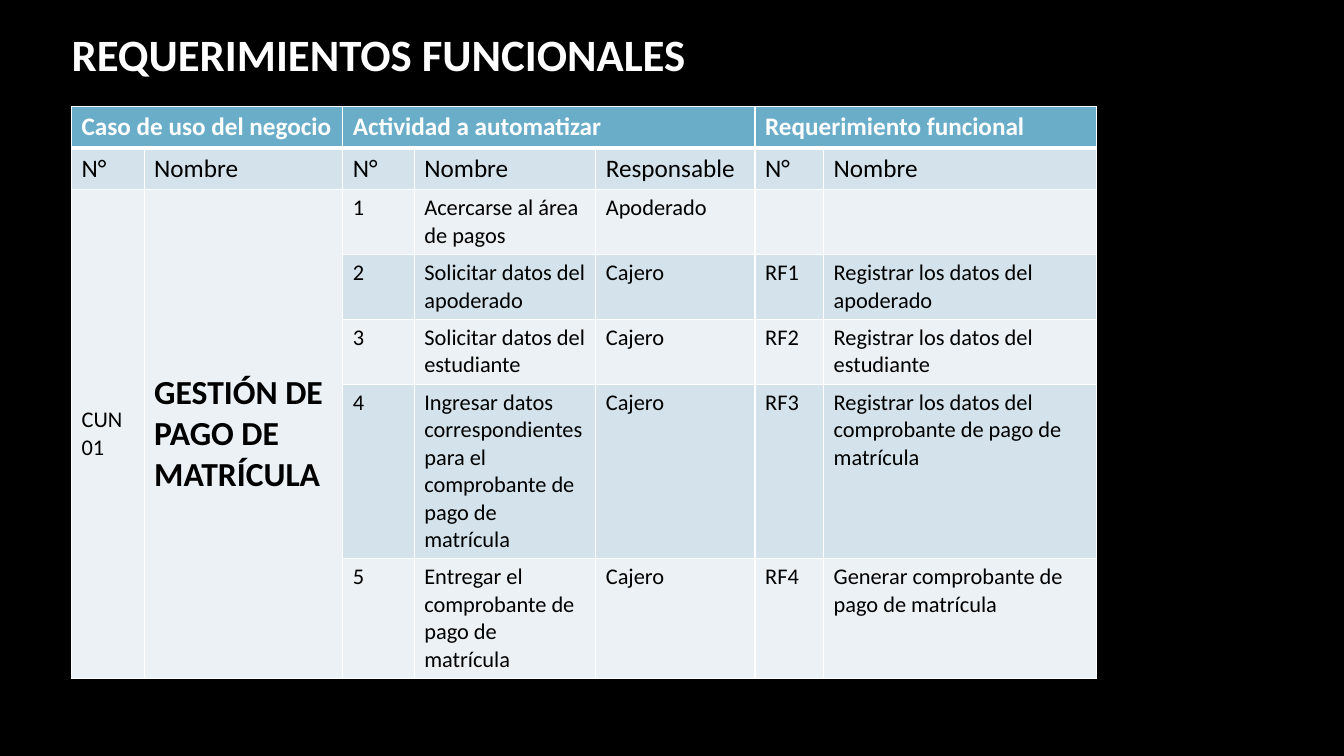
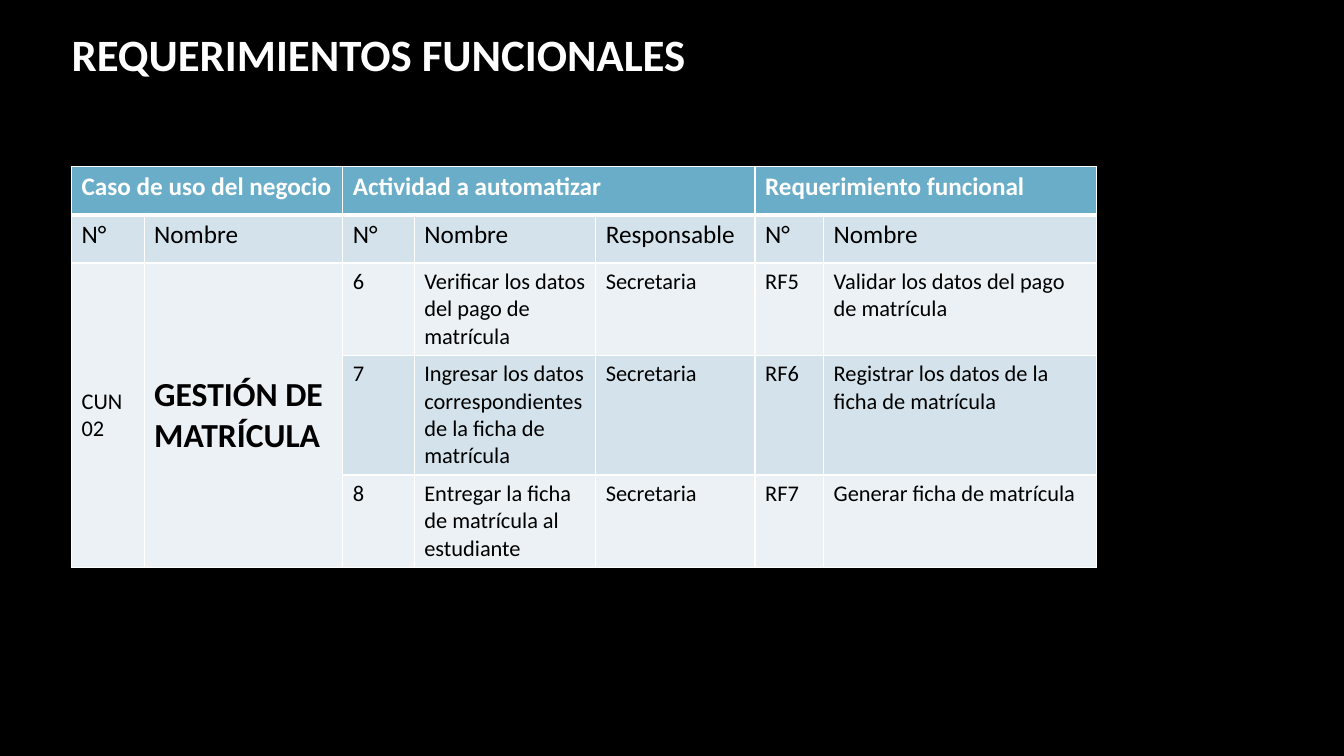
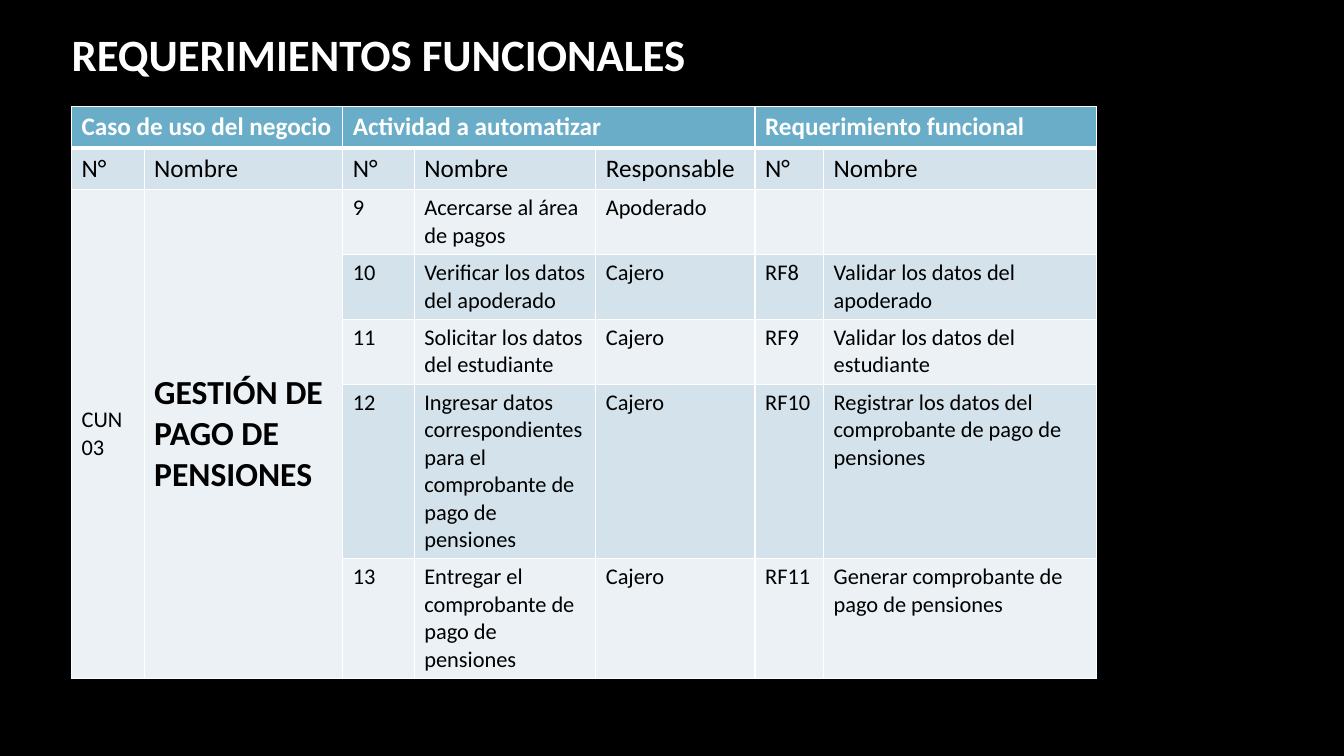
from dataclasses import dataclass

from pptx import Presentation
from pptx.dml.color import RGBColor
from pptx.enum.text import MSO_ANCHOR, PP_ALIGN
from pptx.oxml import parse_xml
from pptx.oxml.ns import nsdecls
from pptx.util import Inches, Pt


@dataclass(frozen=True)
class Theme:
    font: str = "Calibri"
    background: str = "000000"
    light: str = "FFFFFF"
    dark: str = "000000"
    header: str = "6AADC8"
    bands: tuple = ("D4E3EB", "EBF1F5")
    title_size: int = 32
    process_size: int = 24
    header_size: int = 18
    body_size: int = 16
    border: int = 1
    header_border: int = 3


@dataclass(frozen=True)
class UseCase:
    code: str
    name: str
    top: float
    header_height: float
    line_counts: tuple  # text lines that each activity row needs
    activities: tuple


THEME = Theme()
TITLE = "REQUERIMIENTOS FUNCIONALES"
TABLE_LEFT = 0.71
COLUMN_WIDTHS = (0.72, 1.97, 0.71, 1.8, 1.58, 0.68, 2.71)
LINE_HEIGHT = 0.27
ROW_PADDING = 0.1
GROUPS = (
    ("Caso de uso del negocio", 0, 1),
    ("Actividad a automatizar", 2, 4),
    ("Requerimiento funcional", 5, 6),
)
COLUMN_NAMES = ("N°", "Nombre", "N°", "Nombre", "Responsable", "N°", "Nombre")

USE_CASES = (
    UseCase("01", "GESTIÓN DE PAGO DE MATRÍCULA", 1.06, 0.41, (2, 2, 2, 6, 4), (
        ("1", "Acercarse al área de pagos", "Apoderado", "", ""),
        ("2", "Solicitar datos del apoderado", "Cajero",
         "RF1", "Registrar los datos del apoderado"),
        ("3", "Solicitar datos del estudiante", "Cajero",
         "RF2", "Registrar los datos del estudiante"),
        ("4", "Ingresar datos correspondientes para el comprobante de pago de matrícula",
         "Cajero", "RF3", "Registrar los datos del comprobante de pago de matrícula"),
        ("5", "Entregar el comprobante de pago de matrícula", "Cajero",
         "RF4", "Generar comprobante de pago de matrícula"),
    )),
    UseCase("02", "GESTIÓN DE MATRÍCULA", 1.65, 0.48, (3, 4, 3), (
        ("6", "Verificar los datos del pago de matrícula", "Secretaria",
         "RF5", "Validar los datos del pago de matrícula"),
        ("7", "Ingresar los datos correspondientes de la ficha de matrícula", "Secretaria",
         "RF6", "Registrar los datos de la ficha de matrícula"),
        ("8", "Entregar la ficha de matrícula al estudiante", "Secretaria",
         "RF7", "Generar ficha de matrícula"),
    )),
    UseCase("03", "GESTIÓN DE PAGO DE PENSIONES", 1.06, 0.41, (2, 2, 2, 6, 4), (
        ("9", "Acercarse al área de pagos", "Apoderado", "", ""),
        ("10", "Verificar los datos del apoderado", "Cajero",
         "RF8", "Validar los datos del apoderado"),
        ("11", "Solicitar los datos del estudiante", "Cajero",
         "RF9", "Validar los datos del estudiante"),
        ("12", "Ingresar datos correspondientes para el comprobante de pago de pensiones",
         "Cajero", "RF10", "Registrar los datos del comprobante de pago de pensiones"),
        ("13", "Entregar el comprobante de pago de pensiones", "Cajero",
         "RF11", "Generar comprobante de pago de pensiones"),
    )),
)


def add_run(para, text, size, color, bold=False):
    span = para.add_run()
    span.text = text
    span.font.name = THEME.font
    span.font.size = Pt(size)
    span.font.bold = bold
    span.font.color.rgb = RGBColor.from_string(color)


def set_title(page):
    box = page.shapes.title
    box.left, box.top = Inches(0.61), Inches(0.18)
    box.width, box.height = Inches(7.33), Inches(0.71)
    box.text_frame.vertical_anchor = MSO_ANCHOR.MIDDLE
    para = box.text_frame.paragraphs[0]
    para.alignment = PP_ALIGN.LEFT
    add_run(para, TITLE, THEME.title_size, THEME.light, bold=True)


def style_cell(cell, row_index):
    """Set borders and band fill; the borders must precede the fill in the XML."""
    properties = cell._tc.get_or_add_tcPr()
    widths = {side: THEME.border for side in "LRTB"}
    if row_index == 0:
        widths["B"] = THEME.header_border
    elif row_index == 1:
        widths["T"] = THEME.header_border
    for side, width in widths.items():
        properties.append(parse_xml(
            f'<a:ln{side} {nsdecls("a")} w="{Pt(width)}"><a:solidFill>'
            f'<a:srgbClr val="{THEME.light}"/></a:solidFill></a:ln{side}>'))
    color = THEME.header if row_index == 0 else THEME.bands[(row_index - 1) % 2]
    cell.fill.solid()
    cell.fill.fore_color.rgb = RGBColor.from_string(color)


def write_cell(cell, lines, size, color=THEME.dark, bold=False, anchor=MSO_ANCHOR.TOP):
    cell.vertical_anchor = anchor
    frame = cell.text_frame
    for index, line in enumerate(lines):
        para = frame.add_paragraph() if index else frame.paragraphs[0]
        if line:
            add_run(para, line, size, color, bold)


def add_requirements_table(page, case):
    heights = [case.header_height] * 2
    heights += [ROW_PADDING + LINE_HEIGHT * count for count in case.line_counts]
    table = page.shapes.add_table(
        len(heights), len(COLUMN_WIDTHS), Inches(TABLE_LEFT), Inches(case.top),
        Inches(sum(COLUMN_WIDTHS)), Inches(sum(heights))).table
    table.first_row = table.horz_banding = False
    for column, width in zip(table.columns, COLUMN_WIDTHS):
        column.width = Inches(width)
    for row_index, (row, height) in enumerate(zip(table.rows, heights)):
        row.height = Inches(height)
        for cell in row.cells:
            style_cell(cell, row_index)

    for text, first, last in GROUPS:
        table.cell(0, first).merge(table.cell(0, last))
        write_cell(table.cell(0, first), [text], THEME.header_size, THEME.light, bold=True)
    for column, text in enumerate(COLUMN_NAMES):
        write_cell(table.cell(1, column), [text], THEME.header_size)
    for column in (0, 1):
        table.cell(2, column).merge(table.cell(len(heights) - 1, column))
    write_cell(table.cell(2, 0), ["CUN", case.code], THEME.body_size,
               anchor=MSO_ANCHOR.MIDDLE)
    write_cell(table.cell(2, 1), [case.name], THEME.process_size, bold=True,
               anchor=MSO_ANCHOR.MIDDLE)
    for row_index, activity in enumerate(case.activities, start=2):
        for column, text in enumerate(activity, start=2):
            write_cell(table.cell(row_index, column), [text], THEME.body_size)


def main():
    deck = Presentation()
    deck.slide_width, deck.slide_height = Inches(13.33), Inches(7.5)
    backdrop = deck.slide_master.background.fill
    backdrop.solid()
    backdrop.fore_color.rgb = RGBColor.from_string(THEME.background)
    title_only = deck.slide_layouts.get_by_name("Title Only")
    for case in USE_CASES:
        page = deck.slides.add_slide(title_only)
        set_title(page)
        add_requirements_table(page, case)
    deck.save("out.pptx")


if __name__ == "__main__":
    main()
